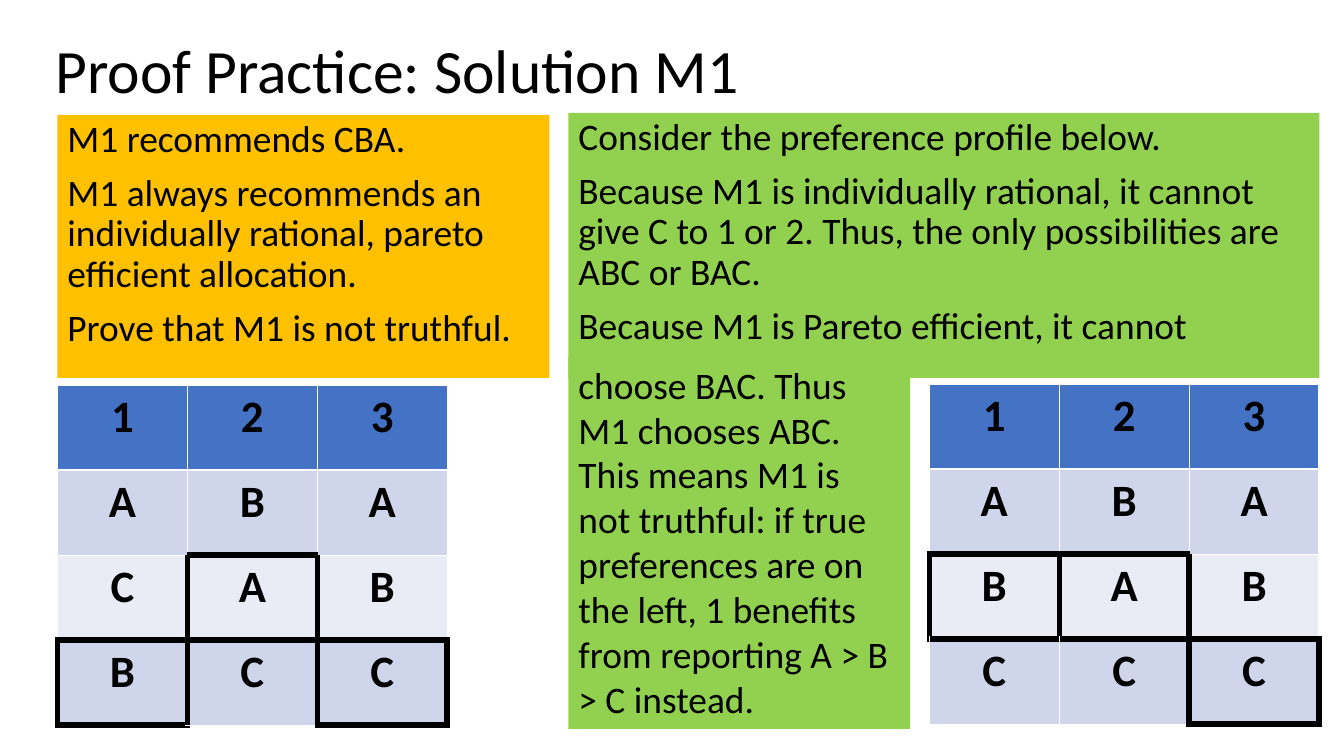
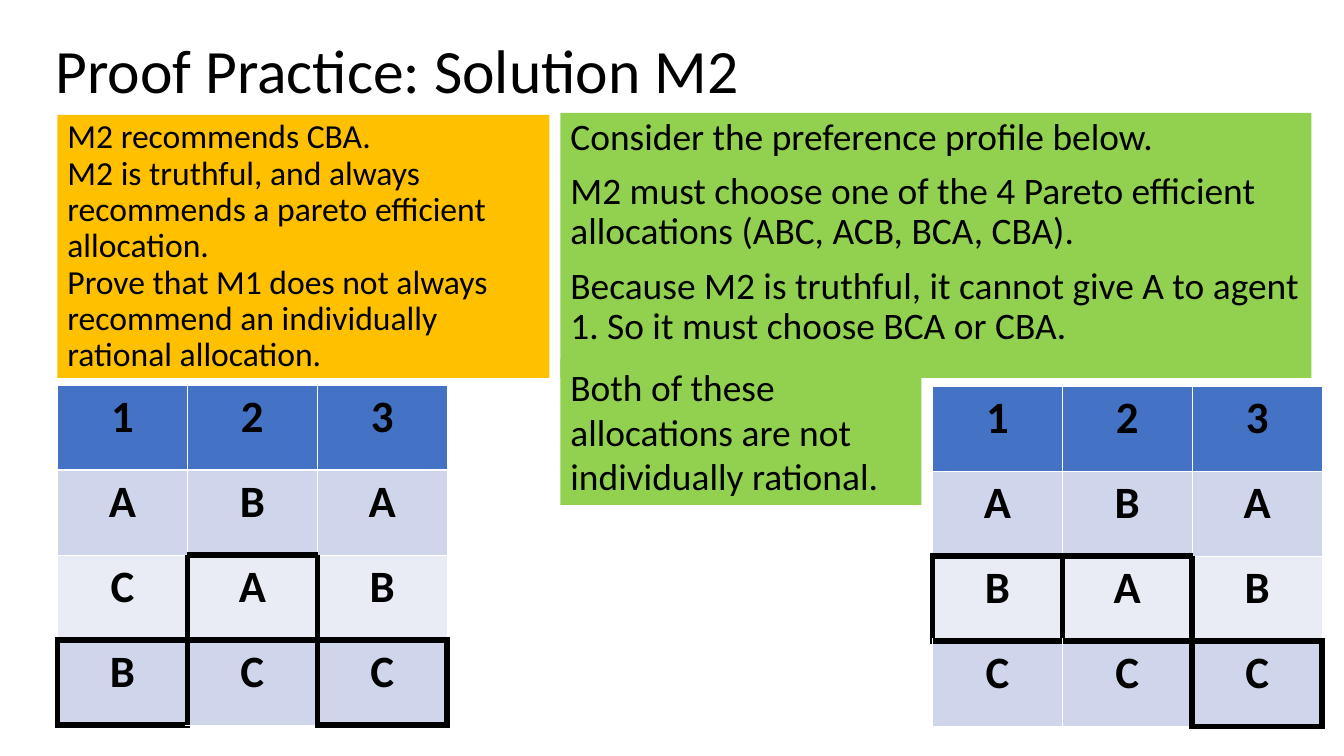
from lxml import etree
from pptx import Presentation
from pptx import util as u
from pptx.dml.color import RGBColor
from pptx.enum import shapes, text
from pptx.oxml.ns import qn

BLACK = RGBColor(0x00, 0x00, 0x00)
WHITE = RGBColor(0xFF, 0xFF, 0xFF)
ORANGE = RGBColor(0xFF, 0xC0, 0x00)
GREEN = RGBColor(0x92, 0xD0, 0x50)
BLUE = RGBColor(0x44, 0x72, 0xC4)
PALE = RGBColor(0xCF, 0xD5, 0xEA)
PALER = RGBColor(0xE9, 0xEB, 0xF5)
ROW_FILLS = [BLUE, PALE, PALER, PALE]
FONT = "Calibri"
BODY = 26.7
SIDES = {"a:lnL": (0, -1), "a:lnR": (0, 1), "a:lnT": (-1, 0), "a:lnB": (1, 0)}

TRUE_PROFILE = ["123", "ABA", "CAB", "BCC"]
TRUE_MARKS = {(3, 0), (2, 1), (3, 2)}
REPORTED_PROFILE = ["123", "ABA", "BAB", "CCC"]
REPORTED_MARKS = {(2, 0), (2, 1), (3, 2)}

deck = Presentation()
deck.slide_width, deck.slide_height = u.Inches(13.33), u.Inches(7.5)


def place(left, top, width, height):
    across, down = deck.slide_width / 100, deck.slide_height / 100
    return int(left * across), int(top * down), int(width * across), int(height * down)


def write(frame, lines, size=BODY, bold=False, align=text.PP_ALIGN.LEFT, spacing=0.9, gap=0):
    for index, line in enumerate(lines):
        para = frame.paragraphs[0] if index == 0 else frame.add_paragraph()
        para.alignment = align
        para.line_spacing = spacing
        para.space_before = u.Pt(gap if index else 0)
        span = para.add_run()
        span.text = line
        span.font.name, span.font.size, span.font.bold = FONT, u.Pt(size), bold
        span.font.color.rgb = BLACK


solutions = [
    {
        "title": "Proof Practice: Solution M1",
        "problem": [
            "M1 recommends CBA.",
            "M1 always recommends an individually rational, pareto efficient allocation.",
            "Prove that M1 is not truthful.",
        ],
        "problem_format": {"gap": 10},
        "answer": [
            "Consider the preference profile below.",
            "Because M1 is individually rational, it cannot give C to 1 or 2. "
            "Thus, the only possibilities are ABC or BAC.",
            "Because M1 is Pareto efficient, it cannot",
        ],
        "conclusion": [
            "choose BAC. Thus M1 chooses ABC.",
            "This means M1 is not truthful: if true preferences are on the left, "
            "1 benefits from reporting A > B > C instead.",
        ],
        "answer_left": 42.3,
        "conclusion_at": (47.2, 25.43, 49.2),
        "reported_at": (69.15, 50.8),
    },
    {
        "title": "Proof Practice: Solution M2",
        "problem": [
            "M2 recommends CBA.",
            "M2 is truthful, and always recommends a pareto efficient allocation.",
            "Prove that M1 does not always recommend an individually rational allocation.",
        ],
        "problem_format": {"size": 24},
        "answer": [
            "Consider the preference profile below.",
            "M2 must choose one of the 4 Pareto efficient allocations (ABC, ACB, BCA, CBA).",
            "Because M2 is truthful, it cannot give A to agent 1. So it must choose BCA or CBA.",
        ],
        "conclusion": ["Both of these allocations are not individually rational."],
        "answer_left": 41.7,
        "conclusion_at": (47.47, 26.85, 19.33),
        "reported_at": (69.38, 51.07),
    },
]

for solution in solutions:
    page = deck.slides.add_slide(deck.slide_layouts[6])

    title = page.shapes.add_textbox(*place(3.38, 4.13, 93.15, 11.2))
    title.text_frame.word_wrap = True
    title.text_frame.vertical_anchor = text.MSO_ANCHOR.MIDDLE
    write(title.text_frame, [solution["title"]], size=44)

    left = solution["answer_left"]
    top, width, height = solution["conclusion_at"]
    panels = [
        ("problem", ORANGE, (4.28, 15.2, 36.6, 34.8), solution["problem_format"]),
        ("answer", GREEN, (left, 14.93, 55.88, 35.07), {"gap": 10}),
        ("conclusion", GREEN, (left, top, width, height), {"spacing": 1.0}),
    ]
    for part, fill, area, style in panels:
        box = page.shapes.add_shape(shapes.MSO_SHAPE.RECTANGLE, *place(*area))
        box.shadow.inherit = False
        box.fill.solid()
        box.fill.fore_color.rgb = fill
        box.line.fill.background()
        box.text_frame.word_wrap = True
        box.text_frame.vertical_anchor = text.MSO_ANCHOR.TOP
        write(box.text_frame, solution[part], **style)

    profiles = [
        ((4.28, 50.93), TRUE_PROFILE, TRUE_MARKS),
        (solution["reported_at"], REPORTED_PROFILE, REPORTED_MARKS),
    ]
    for corner, profile, marks in profiles:
        table = page.shapes.add_table(4, 3, *place(*corner, 29, 45)).table
        for row, letters in enumerate(profile):
            for column, letter in enumerate(letters):
                cell = table.cell(row, column)
                write(cell.text_frame, [letter], size=32, bold=True,
                      align=text.PP_ALIGN.CENTER, spacing=1.0)
                properties = cell._tc.get_or_add_tcPr()
                for side, (down, across) in SIDES.items():
                    marked = bool(marks & {(row, column), (row + down, column + across)})
                    border = etree.SubElement(properties, qn(side),
                                              w=str(u.Pt(4.5 if marked else 1)))
                    paint = etree.SubElement(border, qn("a:solidFill"))
                    etree.SubElement(paint, qn("a:srgbClr"), val=str(BLACK if marked else WHITE))
                cell.fill.solid()
                cell.fill.fore_color.rgb = ROW_FILLS[row]

deck.save("out.pptx")
